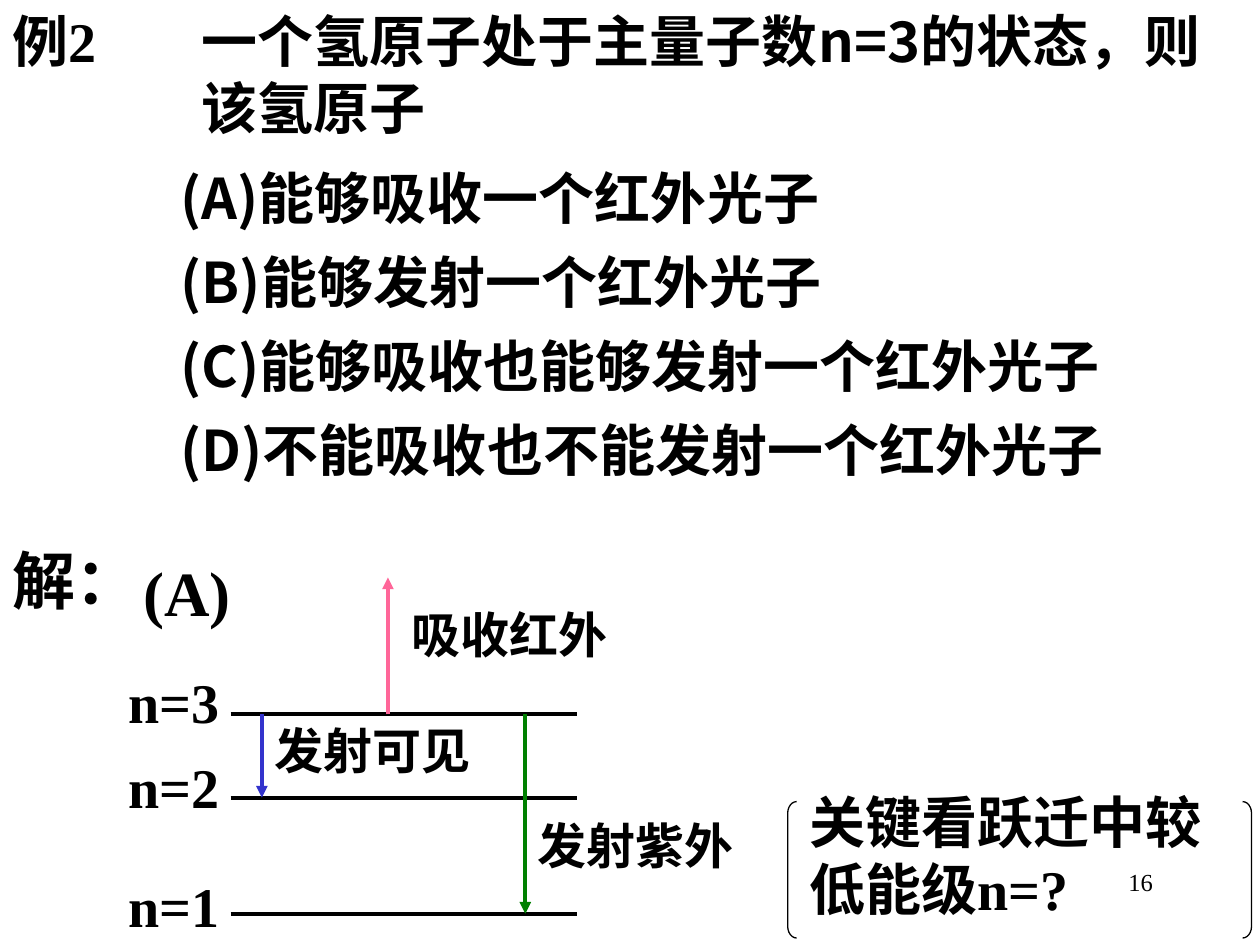
from lxml import etree
from pptx import Presentation
from pptx.dml.color import RGBColor
from pptx.enum.shapes import MSO_CONNECTOR, MSO_SHAPE
from pptx.enum.text import PP_ALIGN
from pptx.oxml.ns import qn
from pptx.util import Cm, Pt

STRAIGHT = MSO_CONNECTOR.STRAIGHT
LEFT, RIGHT = PP_ALIGN.LEFT, PP_ALIGN.RIGHT
BRACKETS = MSO_SHAPE.LEFT_BRACKET, MSO_SHAPE.RIGHT_BRACKET

BLACK = RGBColor(0x00, 0x00, 0x00)
BLUE = RGBColor(0x33, 0x33, 0xCC)
PINK = RGBColor(0xFF, 0x66, 0x99)
GREEN = RGBColor(0x00, 0x80, 0x00)

SERIF = "Times New Roman"
SANS = "Noto Sans CJK SC"

OPTIONS = [
    "(A)能够吸收一个红外光子",
    "(B)能够发射一个红外光子",
    "(C)能够吸收也能够发射一个红外光子",
    "(D)不能吸收也不能发射一个红外光子",
]

# Level name, height of its line, top of its label
LEVELS = [("n=3", 2.76, 1.7), ("n=2", 4.44, 3.4), ("n=1", 6.78, 5.81)]

# Arrow x, start y, end y, colour, caption, caption x, y and width
JUMPS = [
    (2.94, 2.76, 4.44, BLUE, "发射可见", 2.94, 2.76, 6.78),
    (5.48, 2.76, 0, PINK, "吸收红外", 5.71, 0.43, 6.15),
    (8.25, 2.76, 6.78, GREEN, "发射紫外", 8.25, 4.67, 7.42),
]


def add_text(shapes, x, y, w, h, text, size=32, font=SERIF, bold=True, align=LEFT):
    box = shapes.add_textbox(Cm(x), Cm(y), Cm(w), Cm(h))
    box.text_frame.word_wrap = True
    para = box.text_frame.paragraphs[0]
    para.alignment = align
    run = para.add_run()
    run.text = text
    run.font.size = Pt(size)
    run.font.bold = bold
    run.font.name = font
    run.font.color.rgb = BLACK
    # Chinese characters always use the sans face
    latin = run.font._element.find(qn("a:latin"))
    east = etree.Element(qn("a:ea"), typeface=SANS)
    latin.addnext(east)


def add_line(shapes, x1, y1, x2, y2, color, arrow=False):
    line = shapes.add_connector(STRAIGHT, Cm(x1), Cm(y1), Cm(x2), Cm(y2))
    line.line.color.rgb = color
    line.line.width = Pt(2.25)
    if arrow:
        etree.SubElement(line.line._get_or_add_ln(), qn("a:tailEnd"), type="triangle")
    etree.SubElement(line._element.spPr, qn("a:effectLst"))


def add_question(shapes, x, y, w):
    # Heading and stem
    add_text(shapes, x, y, 5.28, 1.63, "例2")
    stem = "一个氢原子处于主量子数n=3的状态，则该氢原子"
    add_text(shapes, x + 3.81, y, w - 3.81, 2.97, stem, font=SANS)
    # Choices
    for i, text in enumerate(OPTIONS):
        add_text(shapes, x + 3.39, y + 3.18 + i * 1.69, w - 3.39, 1.63, text, font=SANS)


def add_answer(shapes, x, y):
    add_text(shapes, x, y, 4.65, 1.78, "解：", 36)
    add_text(shapes, x + 2.64, y + 0.23, 6.86, 1.78, "(A)", 36)


def add_diagram(shapes, x, y):
    # Energy levels
    group = shapes.add_group_shape().shapes
    for name, line_y, text_y in LEVELS:
        add_line(group, x + 2.31, y + line_y, x + 9.29, y + line_y, BLACK)
        add_text(group, x, y + text_y, 4.23, 1.63, name)
    # Transitions
    for jump_x, start, end, color, text, text_x, text_y, w in JUMPS:
        group = shapes.add_group_shape().shapes
        add_text(group, x + text_x, y + text_y, w, 1.45, text, 28)
        add_line(group, x + jump_x, y + start, x + jump_x, y + end, color, True)


def add_hint(shapes, x, y, w):
    group = shapes.add_group_shape().shapes
    add_text(group, x + 0.18, y, w - 0.18, 2.97, "关键看跃迁中较低能级n=?")
    # Brackets on both sides
    for kind, side in zip(BRACKETS, (0, 9.17)):
        mark = group.add_shape(kind, Cm(x + side), Cm(y + 0.41), Cm(0.18), Cm(2.75))
        mark.adjustments[0] = 1.3
        mark.shadow.inherit = False
        mark.fill.background()
        mark.line.color.rgb = BLACK
        mark.line.width = Pt(0.75)


def main():
    deck = Presentation()
    deck.slide_width, deck.slide_height = Cm(25.4), Cm(19.05)
    shapes = deck.slides.add_slide(deck.slide_layouts[6]).shapes
    # Page number
    add_text(shapes, 18.21, 17.35, 5.28, 1.27, "16", 14, bold=False, align=RIGHT)
    add_question(shapes, 0, 0, 25.4)
    add_answer(shapes, 0, 10.8)
    add_diagram(shapes, 2.34, 11.64)
    add_hint(shapes, 15.88, 15.75, 9.52)
    deck.save("out.pptx")


if __name__ == "__main__":
    main()
